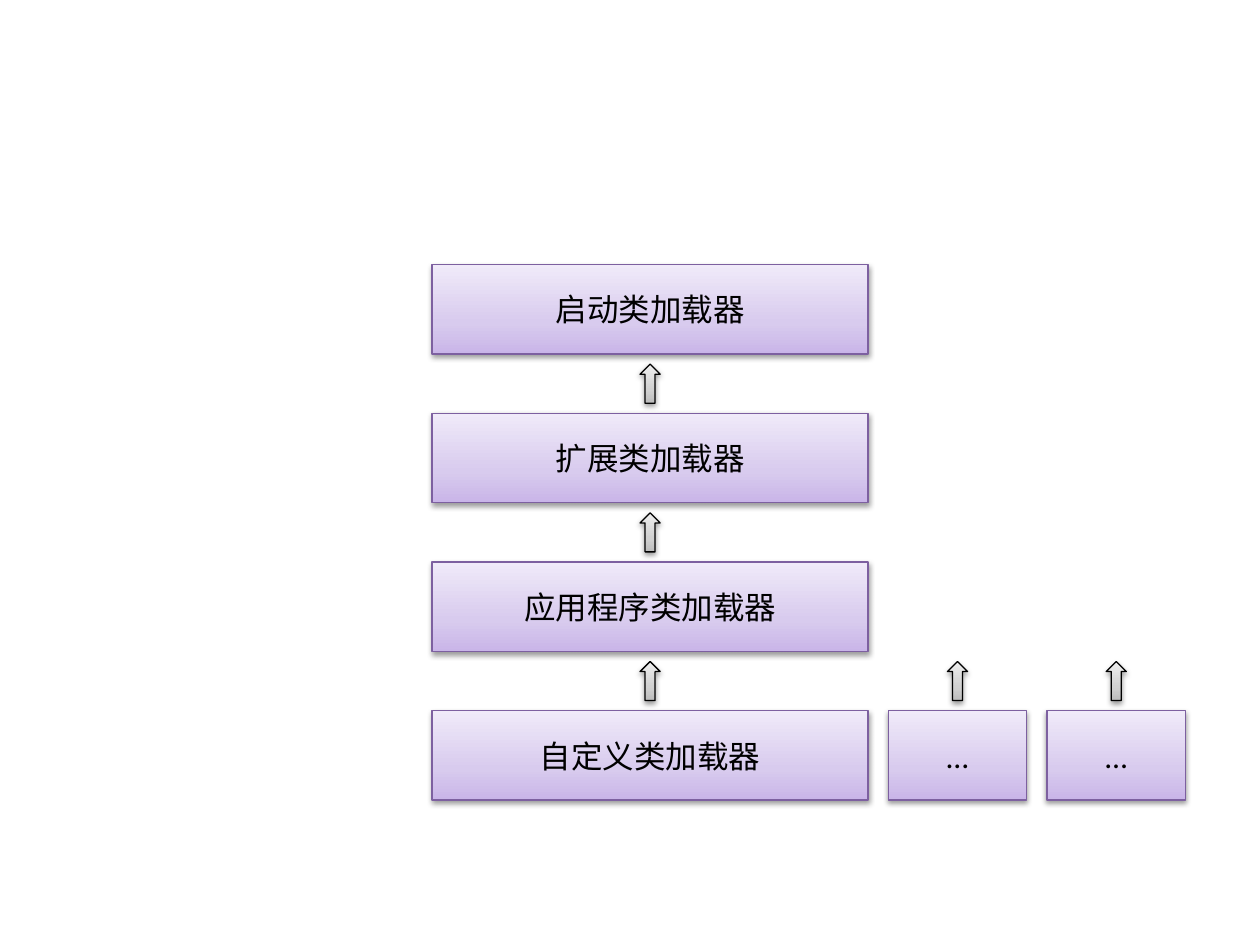
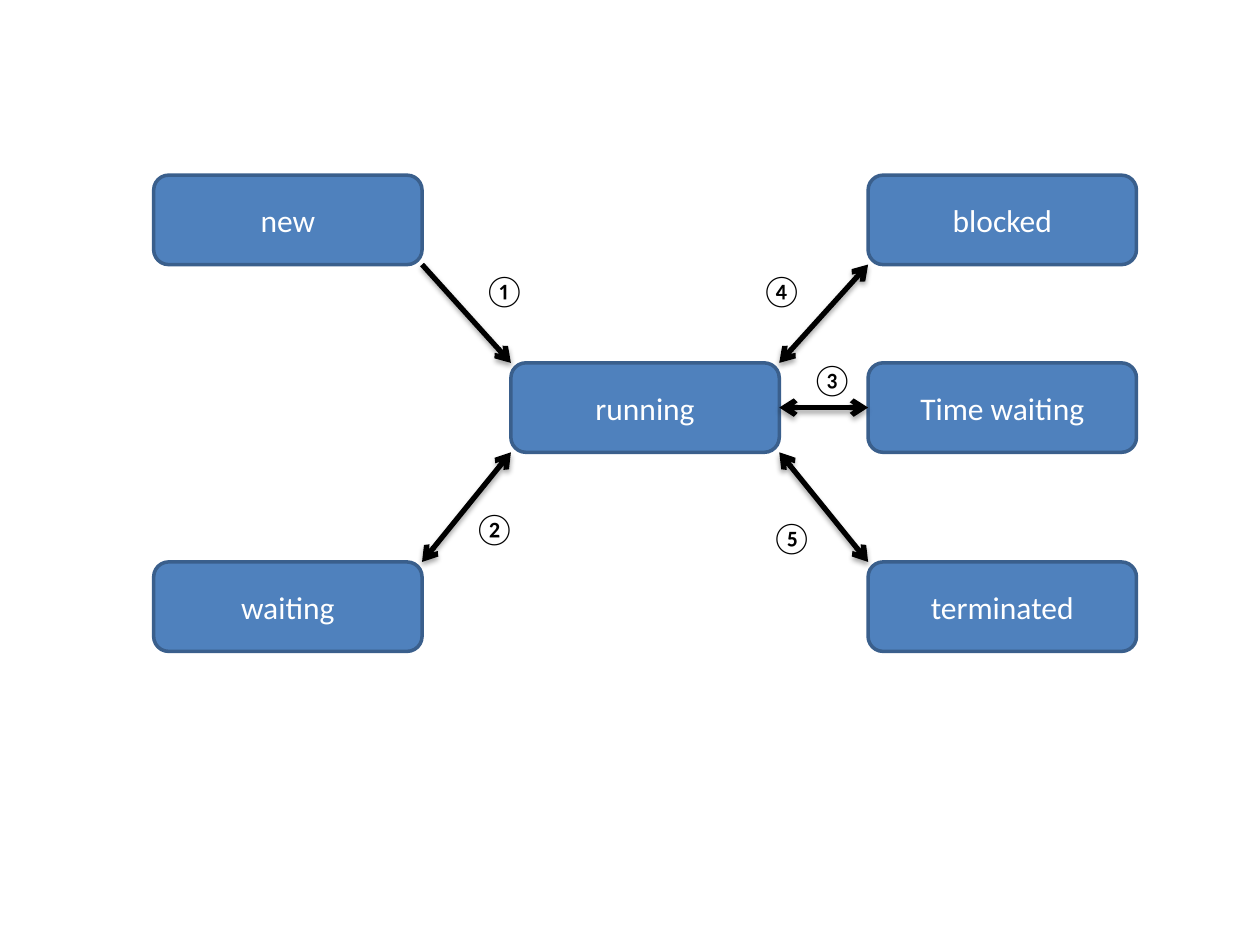
from copy import deepcopy

from lxml.etree import SubElement
from pptx import Presentation
from pptx.dml.color import RGBColor
from pptx.enum.shapes import MSO_CONNECTOR, MSO_SHAPE
from pptx.enum.text import MSO_ANCHOR, MSO_AUTO_SIZE, PP_ALIGN
from pptx.oxml.ns import qn
from pptx.util import Inches, Pt

BLACK = RGBColor(0x00, 0x00, 0x00)
WHITE = RGBColor(0xFF, 0xFF, 0xFF)
BLUE = RGBColor(0x4F, 0x81, 0xBD)
BLUE_EDGE = RGBColor(0x3A, 0x5F, 0x8C)
PURPLE_EDGE = RGBColor(0x7D, 0x60, 0xA0)
PURPLE_STOPS = (RGBColor(0xC9, 0xB5, 0xE8), RGBColor(0xD8, 0xCB, 0xEE), RGBColor(0xF0, 0xEA, 0xF9))
GREY_STOPS = (RGBColor(0xBD, 0xBD, 0xBD), RGBColor(0xD1, 0xD1, 0xD1), RGBColor(0xEE, 0xEE, 0xEE))
STOP_POSITIONS = (0, 0.35, 1)

FONT = {"name": "Calibri", "size": Pt(18)}
CENTRED = {"vertical_anchor": MSO_ANCHOR.MIDDLE, "word_wrap": True}
FITTED = {"auto_size": MSO_AUTO_SIZE.SHAPE_TO_FIT_TEXT, "word_wrap": False}
BOX_HEIGHT = 0.71


def apply_format(target, values):
    """Set every attribute named in a dict of format values."""
    for attribute, value in values.items():
        setattr(target, attribute, value)


def write(shape, words, color, frame_format, align):
    """Put one formatted line of words into a shape."""
    apply_format(shape.text_frame, frame_format)
    paragraph = shape.text_frame.paragraphs[0]
    paragraph.alignment = align
    run = paragraph.add_run()
    run.text = words
    apply_format(run.font, FONT)
    run.font.color.rgb = color


def set_line(line, color, width):
    """Give a line its colour and its width in points."""
    line.color.rgb = color
    line.width = Pt(width)


def cast_shadow(shape, alpha, distance):
    """Add a soft black shadow straight below a shape or connector."""
    effects = SubElement(shape.element.spPr, qn("a:effectLst"))
    shadow = SubElement(effects, qn("a:outerShdw"), blurRad=str(Pt(3.1)),
                        dist=str(Pt(distance)), dir="5400000", rotWithShape="0")
    tone = SubElement(shadow, qn("a:srgbClr"), val=str(BLACK))
    SubElement(tone, qn("a:alpha"), val=str(alpha * 1000))


def fill_gradient(shape, colors):
    """Fill a shape with three colours rising from its bottom edge."""
    shape.fill.gradient()
    shape.fill.gradient_angle = 90
    stop_list = shape.element.spPr.find(qn("a:gradFill")).find(qn("a:gsLst"))
    stop_list.append(deepcopy(stop_list[0]))
    for stop, position, color in zip(shape.fill.gradient_stops, STOP_POSITIONS, colors):
        stop.position = position
        stop.color.rgb = color


def add_glossy(slide, kind, box, colors, edge):
    """Draw a shadowed gradient shape in a box."""
    shape = slide.shapes.add_shape(kind, *map(Inches, box))
    fill_gradient(shape, colors)
    set_line(shape.line, edge, 0.75)
    cast_shadow(shape, 38, 1.6)
    return shape


def add_loader(slide, box, words):
    """Draw one class loader."""
    loader = add_glossy(slide, MSO_SHAPE.RECTANGLE, box, PURPLE_STOPS, PURPLE_EDGE)
    write(loader, words, BLACK, CENTRED, PP_ALIGN.CENTER)


def add_parent_arrow(slide, box, gap):
    """Draw an up arrow in the middle of the gap above a loader box."""
    left, top, width, _ = box
    arrow_width, arrow_height = 0.16, 0.31
    arrow_box = (left + (width - arrow_width) / 2, top - (gap + arrow_height) / 2,
                 arrow_width, arrow_height)
    add_glossy(slide, MSO_SHAPE.UP_ARROW, arrow_box, GREY_STOPS, BLACK)


def build_loader_hierarchy(slide, left, top):
    """Stack the class loaders, with further custom loaders beside the last."""
    width, gap, side_width, side_gap = 3.46, 0.47, 1.1, 0.16
    pitch = BOX_HEIGHT + gap
    names = ("启动类加载器", "扩展类加载器", "应用程序类加载器", "自定义类加载器")
    for level, name in enumerate(names):
        box = (left, top + level * pitch, width, BOX_HEIGHT)
        add_loader(slide, box, name)
        if level:
            add_parent_arrow(slide, box, gap)
    bottom = top + (len(names) - 1) * pitch
    for place in range(2):
        side_left = left + width + side_gap + place * (side_width + side_gap)
        box = (side_left, bottom, side_width, BOX_HEIGHT)
        add_loader(slide, box, "…")
        add_parent_arrow(slide, box, gap)


def add_state(slide, box, name):
    """Draw one thread state."""
    state = slide.shapes.add_shape(MSO_SHAPE.ROUNDED_RECTANGLE, *map(Inches, box))
    state.shadow.inherit = False
    state.fill.solid()
    state.fill.fore_color.rgb = BLUE
    set_line(state.line, BLUE_EDGE, 2)
    write(state, name, WHITE, CENTRED, PP_ALIGN.CENTER)


def add_transition(slide, start, end, ends):
    """Draw a thick line with arrowheads at the given ends."""
    transition = slide.shapes.add_connector(MSO_CONNECTOR.STRAIGHT, *map(Inches, start + end))
    set_line(transition.line, BLACK, 3)
    outline = transition.element.spPr.find(qn("a:ln"))
    for tag in ends:
        SubElement(outline, qn(tag), type="arrow")
    cast_shadow(transition, 35, 1.8)


def add_number(slide, left, top, number):
    """Place a circled number beside a transition."""
    label = slide.shapes.add_textbox(*map(Inches, (left, top, 0.45, 0.4)))
    write(label, number, BLACK, FITTED, PP_ALIGN.LEFT)


def build_thread_states(slide, left, top):
    """Draw the thread states around running and number their transitions."""
    width, column_pitch = 2.13, 2.835
    first, centre, last = (left + column * column_pitch for column in range(3))
    upper, middle, lower = top, top + 1.49, top + 3.07
    states = {
        "running": (centre, middle), "new": (first, upper), "waiting": (first, lower),
        "blocked": (last, upper), "Time waiting": (last, middle), "terminated": (last, lower),
    }
    for name, corner in states.items():
        add_state(slide, (*corner, width, BOX_HEIGHT), name)

    running_right, running_bottom = centre + width, middle + BOX_HEIGHT
    half_way, upper_bottom = middle + BOX_HEIGHT / 2, upper + BOX_HEIGHT
    both = ("a:headEnd", "a:tailEnd")
    transitions = (
        ((first + width, upper_bottom), (centre, middle), both[1:]),
        ((first + width, lower), (centre, running_bottom), both),
        ((last, lower), (running_right, running_bottom), both),
        ((last, half_way), (running_right, half_way), both),
        ((last, upper_bottom), (running_right, middle), both),
    )
    for start, end, ends in transitions:
        add_transition(slide, start, end, ends)

    numbers = {"①": (2.52, 0.71), "②": (2.44, 2.6), "④": (4.72, 0.71),
               "⑤": (4.8, 2.67), "③": (5.12, 1.42)}
    for number, (across, down) in numbers.items():
        add_number(slide, left + across, top + down, number)


def main():
    """Build and save both diagrams."""
    deck = Presentation()
    deck.slide_width, deck.slide_height = Inches(10), Inches(7.5)
    blank = deck.slide_layouts[6]
    build_loader_hierarchy(deck.slides.add_slide(blank), 3.43, 2.1)
    build_thread_states(deck.slides.add_slide(blank), 1.22, 1.39)
    deck.save("out.pptx")


main()
